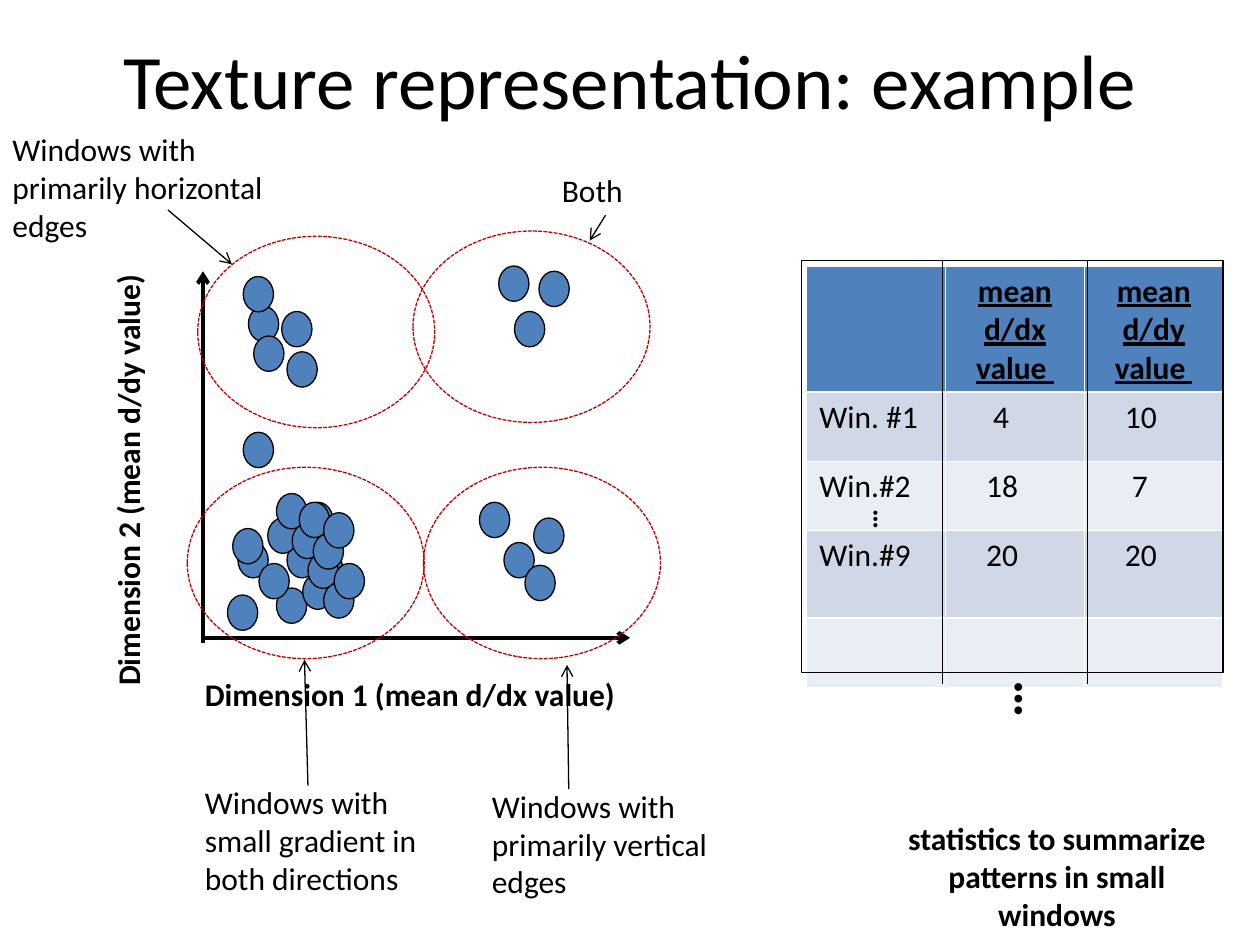
import pptx
import pptx.util
import pptx.dml.color
import pptx.enum.dml
import pptx.enum.shapes
import pptx.enum.text
import lxml.etree

Pt = pptx.util.Pt
Align = pptx.enum.text.PP_ALIGN
Shape = pptx.enum.shapes.MSO_SHAPE
FONT = "Calibri"
COLORS = {
    "ink": "000000",
    "blue": "4F81BD",
    "band_dark": "D0D8E8",
    "band_light": "E9EDF4",
    "cluster": "C00000",
}
DOTS = [
    (23, 92), (158, 132), (192, 0), (169, -3), (178, 23), (172, 155), (26, 20), (48, 46),
    (189, 141), (20, 155), (42, 181), (48, 155), (57, 173), (14, 185), (32, 167), (37, 141),
    (63, 161), (17, 147), (45, 23), (23, 3), (184, 168), (29, 37), (60, 161), (69, 178),
    (75, 167), (42, 127), (51, 144), (57, 132), (55, 132), (63, 150), (69, 138),
]
CLUSTERS = [
    ("Windows with small gradient in both directions",
     (-9, 112), (-6, 289, 150, 73), (60, 294, 58, 222)),
    ("Windows with primarily vertical edges",
     (126, 112), (158, 291, 150, 73), (209, 296, 208, 225)),
    ("Windows with primarily horizontal edges",
     (-3, -20), (-116, -84, 170, 73), (-20, -35, 16.5, -4)),
    ("Both",
     (120, -23), (198, -61, 150, 29), (230, -32, 221, -17.5)),
]
ROWS = [("Win. #1", "4", "10"), ("Win.#2", "18", "7"), ("Win.#9", "20", "20"), ("", "", "")]


def rgb(name):
    return pptx.dml.color.RGBColor.from_string(COLORS[name])


def style_font(para, size=18, bold=False):
    para.font.name = FONT
    para.font.size = Pt(size)
    para.font.bold = bold
    para.font.color.rgb = rgb("ink")


def add_text(page, box, text, size=18, bold=False, align=Align.LEFT, rotation=0):
    label = page.shapes.add_textbox(*map(Pt, box))
    label.rotation = rotation
    label.text_frame.word_wrap = True
    para = label.text_frame.paragraphs[0]
    para.text = text
    para.alignment = align
    style_font(para, size, bold)


def add_outline(page, kind, box, line="ink", fill=None, dashed=False):
    shape = page.shapes.add_shape(kind, *map(Pt, box))
    shape.shadow.inherit = False
    if fill:
        shape.fill.solid()
        shape.fill.fore_color.rgb = rgb(fill)
    else:
        shape.fill.background()
    shape.line.color.rgb = rgb(line)
    shape.line.width = Pt(0.75)
    if dashed:
        shape.line.dash_style = pptx.enum.dml.MSO_LINE.SQUARE_DOT


def add_line(page, ends, width=0.75, arrow=True):
    straight = pptx.enum.shapes.MSO_CONNECTOR.STRAIGHT
    line = page.shapes.add_connector(straight, *map(Pt, ends))
    line.line.color.rgb = rgb("ink")
    line.line.width = Pt(width)
    properties = line._element.spPr
    namespace = "{%s}" % properties.nsmap["a"]
    if arrow:
        outline = properties.find(namespace + "ln")
        lxml.etree.SubElement(outline, namespace + "tailEnd", type="arrow")
    lxml.etree.SubElement(properties, namespace + "effectLst")


def place_title(page, left, top, width, height):
    title = page.shapes.title
    title.left, title.top, title.width, title.height = map(Pt, (left, top, width, height))
    title.text_frame.text = "Texture representation: example"
    title.text_frame.vertical_anchor = pptx.enum.text.MSO_ANCHOR.MIDDLE
    para = title.text_frame.paragraphs[0]
    para.alignment = Align.CENTER
    style_font(para, 44)


def fill_cell(cell, text, fill, header=False, indent=0):
    cell.fill.solid()
    cell.fill.fore_color.rgb = rgb(fill)
    cell.margin_left = Pt(7.2 + indent)
    para = cell.text_frame.paragraphs[0]
    para.text = text
    style_font(para, bold=header)
    if header:
        para.alignment = Align.CENTER
        para.font.underline = True


def place_table(page, left, top, width, height):
    frame = page.shapes.add_table(5, 3, Pt(left), Pt(top), Pt(width), Pt(height))
    table = frame.table
    for column in table.columns:
        column.width = Pt(width / 3)
    for row, row_height in zip(table.rows, (71, 39.6, 39.6, 50, 39.6)):
        row.height = Pt(row_height)
    for column, text in enumerate(("", "mean d/dx value ", "mean d/dy value ")):
        fill_cell(table.cell(0, column), text, "blue", header=True)
    for row, values in enumerate(ROWS, 1):
        fill = "band_dark" if row % 2 else "band_light"
        for column, text in enumerate(values):
            indent = 0 if column == 0 else 20 if len(text) == 1 else 16
            fill_cell(table.cell(row, column), text, fill, indent=indent)

    add_text(page, (left + 65.5, top + 273, 130, 44), "…", 30, True, rotation=90)
    add_outline(page, Shape.RECTANGLE, (left - 3, top - 3, width + 3, 235.5))
    for offset in (77.5, 160.5):
        add_line(page, (left + offset, top - 3, left + offset, top + 239), arrow=False)
    add_text(page, (left - 73.5, top + 237, 236, 26.5), "…", 16, True, rotation=90)


def place_plot(page, left, top, width, height):
    add_line(page, (left, top + height, left + width, top + height), 2.25)
    add_line(page, (left, top + height + 3, left, top), 2.25)
    add_text(page, (left - 6, top + 227, 354, 29), "Dimension 1 (mean d/dx value)", bold=True)
    add_text(page, (left - 220, top + 52.5, 354, 29), "Dimension 2 (mean d/dy value)",
             bold=True, rotation=270)
    for x, y in DOTS:
        add_outline(page, Shape.OVAL, (left + x, top + y, 17.3, 20.2), fill="blue")
    for text, (x, y), (text_x, text_y, text_width, text_height), arrow in CLUSTERS:
        add_outline(page, Shape.OVAL, (left + x, top + y, 135.4, 109.4), "cluster", dashed=True)
        add_text(page, (left + text_x, top + text_y, text_width, text_height), text)
        start_x, start_y, end_x, end_y = arrow
        add_line(page, (left + start_x, top + start_y, left + end_x, top + end_y))


def main():
    deck = pptx.Presentation()
    deck.slide_width, deck.slide_height = Pt(720), Pt(540)
    page = deck.slides.add_slide(deck.slide_layouts.get_by_name("Title Only"))
    place_title(page, 0, 0, 720, 90)
    add_text(page, (503, 464.5, 202, 73), "statistics to summarize patterns in small windows",
             bold=True, align=Align.CENTER)
    place_table(page, 461, 152, 238, 240)
    place_plot(page, 116, 155, 244, 209.5)
    deck.save("out.pptx")


if __name__ == "__main__":
    main()
